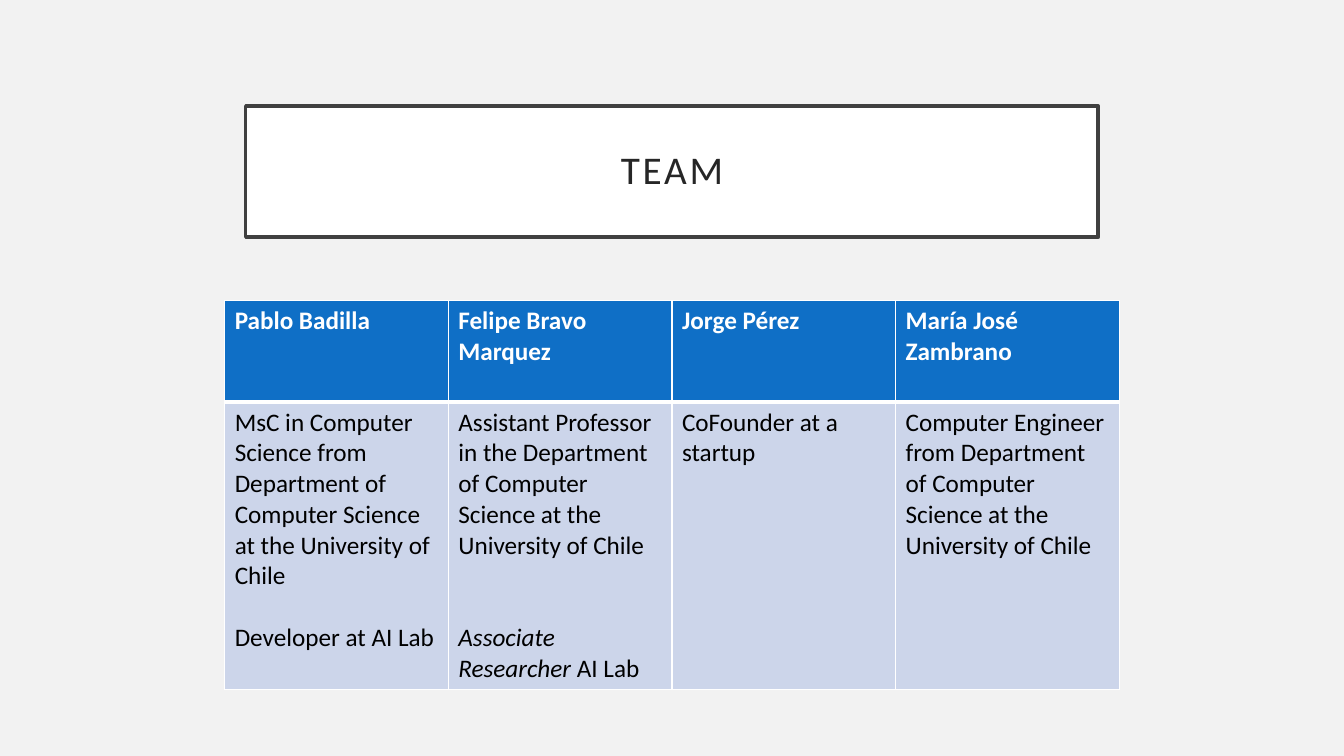
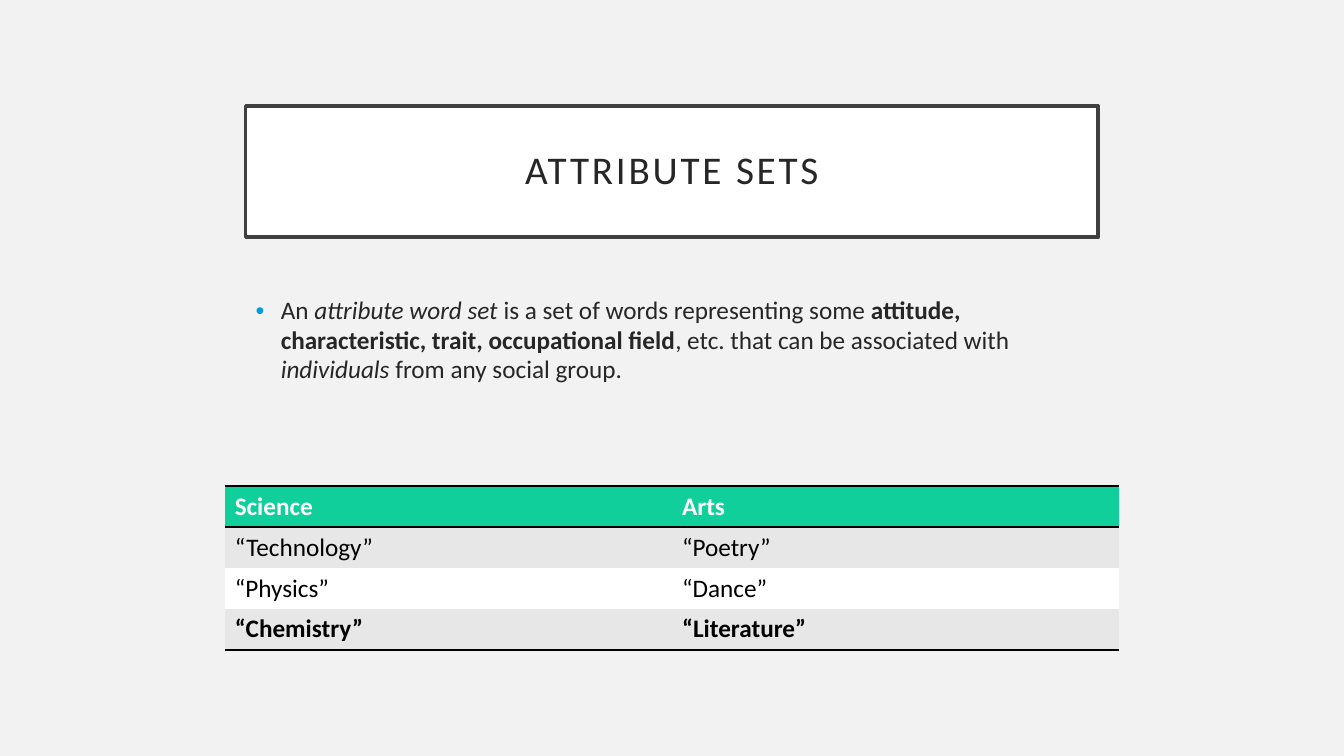
from lxml.etree import SubElement
from pptx import Presentation
from pptx.dml.color import RGBColor
from pptx.enum.shapes import MSO_SHAPE
from pptx.enum.text import MSO_ANCHOR, PP_ALIGN
from pptx.oxml.ns import qn
from pptx.util import Pt

PX = 9525  # EMU per px, 96 px to the inch
FONT = "Calibri"
COLORS = {
    "background": "F2F2F2", "white": "FFFFFF", "black": "000000",
    "frame": "404040", "text": "262626", "bullet": "009DD9",
    "blue": "0F6FC6", "pale_blue": "CCD5EA",
    "green": "10CF9B", "gray": "E7E7E7",
}


def write_runs(paragraph, parts, color, size=18):
    """Add (text, style) parts, where style may hold b for bold and i for italic."""
    for text, style in parts:
        run = paragraph.add_run()
        run.text = text
        run.font.name = FONT
        run.font.size = Pt(size)
        run.font.bold = "b" in style
        run.font.italic = "i" in style
        run.font.color.rgb = RGBColor.from_string(COLORS[color])


def style_cell(cell, fill, borders, line_color):
    """Set the borders (points for L, R, T, B; 0 hides one), then the fill."""
    properties = cell._tc.get_or_add_tcPr()
    for edge, width in zip("LRTB", borders):
        line = SubElement(properties, qn(f"a:ln{edge}"), w=str(Pt(width)))
        if width:
            solid = SubElement(line, qn("a:solidFill"))
            SubElement(solid, qn("a:srgbClr"), val=COLORS[line_color])
        else:
            SubElement(line, qn("a:noFill"))
    cell.fill.solid()
    cell.fill.fore_color.rgb = RGBColor.from_string(COLORS[fill])


deck = Presentation()
deck.slide_width, deck.slide_height = 1280 * PX, 720 * PX

# Shared background and framed title
slides = []
for heading in ("TEAM", "ATTRIBUTE SETS"):
    slide = deck.slides.add_slide(deck.slide_layouts[6])
    slide.background.fill.solid()
    slide.background.fill.fore_color.rgb = RGBColor.from_string(COLORS["background"])
    title = slide.shapes.add_shape(MSO_SHAPE.RECTANGLE, 234 * PX, 101 * PX, 812 * PX, 125 * PX)
    title.shadow.inherit = False
    title.fill.solid()
    title.fill.fore_color.rgb = RGBColor.from_string(COLORS["white"])
    title.line.color.rgb = RGBColor.from_string(COLORS["frame"])
    title.line.width = Pt(2.5)
    title.text_frame.vertical_anchor = MSO_ANCHOR.MIDDLE
    line = title.text_frame.paragraphs[0]
    line.alignment = PP_ALIGN.CENTER
    line.line_spacing = 0.9
    write_runs(line, [(heading, "")], "text", size=28)
    line.runs[0].font._element.set("spc", "200")
    slides.append(slide)
team_slide, attribute_slide = slides

# Team: each member has a name and paragraphs of (blank lines above, parts)
members = [
    ("Pablo Badilla", [
        (0, [("MsC in Computer Science from Department of Computer Science "
              "at the University of Chile", "")]),
        (1, [("Developer at AI Lab", "")]),
    ]),
    ("Felipe Bravo Marquez", [
        (0, [("Assistant Professor in the Department of Computer Science "
              "at the University of Chile", "")]),
        (2, [("Associate Researcher", "i"), (" AI Lab", "")]),
    ]),
    ("Jorge Pérez", [(0, [("CoFounder at a startup", "")])]),
    ("María José Zambrano", [
        (0, [("Computer Engineer from Department of Computer Science "
              "at the University of Chile", "")]),
    ]),
]
LINE_HEIGHT = 22  # points
team = team_slide.shapes.add_table(2, 4, 214 * PX, 286 * PX, 852 * PX, 371 * PX).table
team.horz_banding = False
team.rows[0].height, team.rows[1].height = 97 * PX, 274 * PX
for column, (name, roles) in enumerate(members):
    name_cell, role_cell = team.cell(0, column), team.cell(1, column)
    style_cell(name_cell, "blue", (1, 1, 1, 3), "white")
    write_runs(name_cell.text_frame.paragraphs[0], [(name, "b")], "white")
    style_cell(role_cell, "pale_blue", (1, 1, 3, 1), "white")
    for index, (gap, parts) in enumerate(roles):
        frame = role_cell.text_frame
        paragraph = frame.add_paragraph() if index else frame.paragraphs[0]
        paragraph.space_before = Pt(gap * LINE_HEIGHT)
        write_runs(paragraph, parts, "black")

# Attribute sets: definition with a bullet
definition = attribute_slide.shapes.add_textbox(234 * PX, 277 * PX, 812 * PX, 325 * PX)
definition.text_frame.word_wrap = True
paragraph = definition.text_frame.paragraphs[0]
paragraph.line_spacing = 0.98
write_runs(paragraph, [
    ("An ", ""),
    ("attribute word set ", "i"),
    ("is a set of words representing some ", ""),
    ("attitude, characteristic, trait, occupational field", "b"),
    (", etc. that can be associated with ", ""),
    ("individuals", "i"),
    (" from any social group.", ""),
], "text")
properties = paragraph._p.get_or_add_pPr()
properties.set("marL", str(24 * PX))
properties.set("indent", str(-24 * PX))
bullet_color = SubElement(properties, qn("a:buClr"))
SubElement(bullet_color, qn("a:srgbClr"), val=COLORS["bullet"])
SubElement(properties, qn("a:buFont"), typeface="Arial")
SubElement(properties, qn("a:buChar"), char="•")

# Attribute sets: example words as (words, style, text colour, fill, borders)
word_rows = [
    (("Science", "Arts"), "b", "white", "green", (0, 0, 2, 2)),
    (("“Technology”", "“Poetry”"), "", "black", "gray", (0, 0, 2, 0)),
    (("“Physics”", "“Dance”"), "", "black", "white", (0, 0, 0, 0)),
    (("“Chemistry”", "“Literature”"), "b", "black", "gray", (0, 0, 0, 2)),
]
examples = attribute_slide.shapes.add_table(
    len(word_rows), 2, 214 * PX, 463 * PX, 852 * PX, len(word_rows) * 39 * PX).table
examples.horz_banding = False
for row, (words, style, color, fill, borders) in enumerate(word_rows):
    for column, word in enumerate(words):
        cell = examples.cell(row, column)
        style_cell(cell, fill, borders, "black")
        write_runs(cell.text_frame.paragraphs[0], [(word, style)], color)

deck.save("out.pptx")
